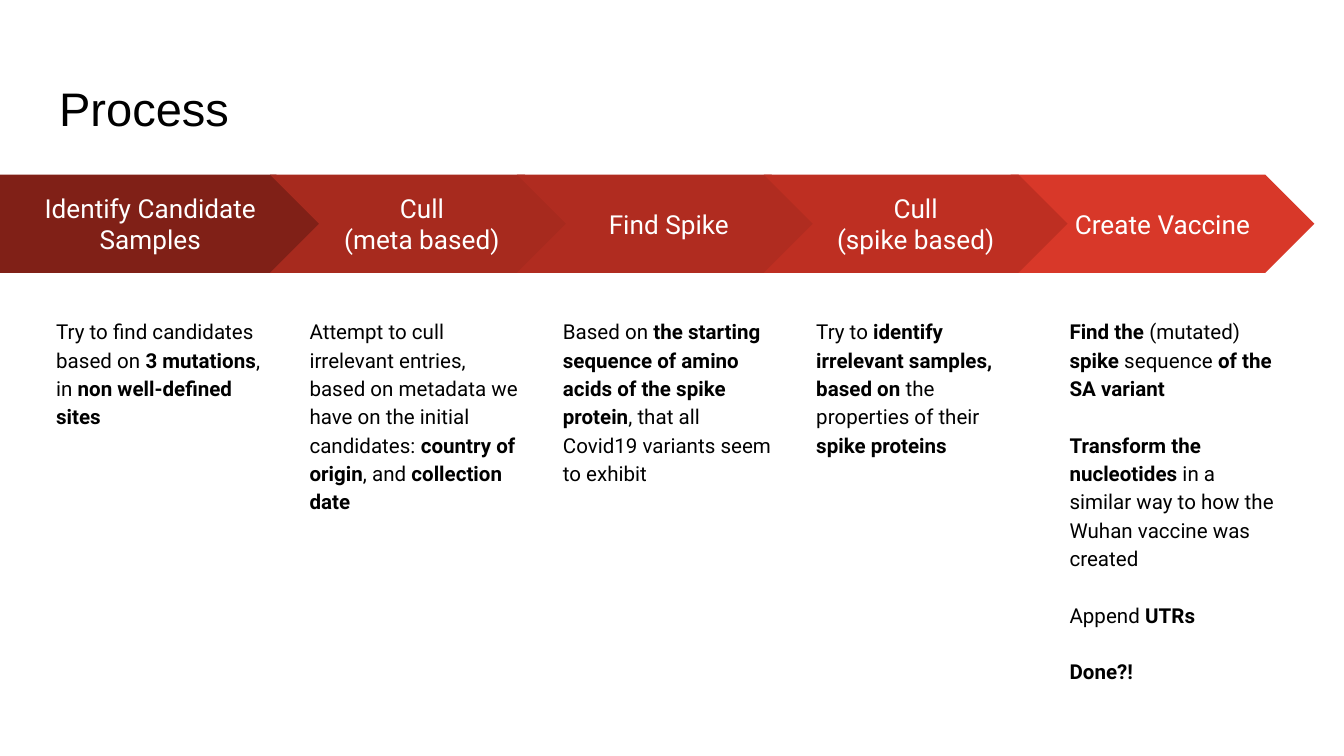
from pptx import Presentation
from pptx.dml.color import RGBColor
from pptx.enum import shapes, text
from pptx.util import Inches, Pt

COLORS = {
    "text": "000000",
    "label": "FFFFFF",
    "identify": "802017",
    "cull_meta": "A72A1E",
    "find": "B02C20",
    "cull_spike": "BE2F22",
    "create": "D83829",
}

# Column, colour key, arrow label, paragraphs; ** marks the start and end of bold text.
# Listed from back to front: the tip of the second cull lies over the last arrow.
STEPS = [
    (0, "identify", "Identify Candidate Samples",
     ["Try to find candidates based on **3 mutations**, in **non well-defined sites**"]),
    (1, "cull_meta", "Cull\n(meta based)",
     ["Attempt to cull irrelevant entries, based on metadata we have on the initial "
      "candidates: **country of origin**, and **collection date**"]),
    (2, "find", "Find Spike",
     ["Based on **the starting sequence of amino acids of the spike protein**, "
      "that all Covid19 variants seem to exhibit"]),
    (4, "create", "Create Vaccine",
     ["**Find the** (mutated) **spike** sequence **of the SA variant**",
      "**Transform the nucleotides** in a similar way to how the Wuhan vaccine was created",
      "Append **UTRs**",
      "**Done?!**"]),
    (3, "cull_spike", "Cull\n(spike based)",
     ["Try to **identify irrelevant samples, based on** the properties of their "
      "**spike proteins**"]),
]


def rgb(name):
    return RGBColor.from_string(COLORS[name])


def set_font(font, name, size, color):
    font.name = name
    font.size = Pt(size)
    font.color.rgb = rgb(color)


def set_margins(tf):
    tf.word_wrap = True
    tf.margin_left = tf.margin_right = tf.margin_top = tf.margin_bottom = Inches(0.1)


def add_title(s, title, left, top, width, height):
    sp = s.shapes.title
    sp.left, sp.top = Inches(left), Inches(top)
    sp.width, sp.height = Inches(width), Inches(height)
    tf = sp.text_frame
    set_margins(tf)
    tf.vertical_anchor = text.MSO_ANCHOR.TOP
    tf.text = title
    p = tf.paragraphs[0]
    p.alignment = text.PP_ALIGN.LEFT
    set_font(p.runs[0].font, "Arial", 25.2, "text")


def add_arrow(s, kind, color, label, left, top, width, height):
    sp = s.shapes.add_shape(kind, Inches(left), Inches(top), Inches(width), Inches(height))
    sp.shadow.inherit = False
    sp.adjustments[0] = 0.5
    sp.fill.solid()
    sp.fill.fore_color.rgb = rgb(color)
    sp.line.fill.background()
    tf = sp.text_frame
    set_margins(tf)
    tf.vertical_anchor = text.MSO_ANCHOR.MIDDLE
    tf.text = label
    for p in tf.paragraphs:
        p.alignment = text.PP_ALIGN.CENTER
        set_font(p.runs[0].font, "Roboto", 14, "label")


def add_description(s, paragraphs, left, top, width, height):
    tf = s.shapes.add_textbox(
        Inches(left), Inches(top), Inches(width), Inches(height)).text_frame
    set_margins(tf)
    for i, content in enumerate(paragraphs):
        p = tf.add_paragraph() if i else tf.paragraphs[0]
        p.line_spacing = 1.15
        if i:
            p.space_before = Pt(15.2)
        for j, part in enumerate(content.split("**")):
            if part:
                r = p.add_run()
                r.text = part
                set_font(r.font, "Roboto", 11, "text")
                r.font.bold = j % 2 == 1


def add_process(s, left, top, height):
    """Place the arrow band and one description under each arrow."""
    first_width, width, band = 2.42, 2.26, 0.73
    chevron_left, chevron_pitch = 2.01, 5.51 / 3
    text_left, text_top, text_pitch = 0.32, 0.95, 7.54 / 4
    for column, color, label, paragraphs in STEPS:
        if column == 0:
            add_arrow(s, shapes.MSO_SHAPE.PENTAGON, color, label,
                      left, top, first_width, band)
        else:
            add_arrow(s, shapes.MSO_SHAPE.CHEVRON, color, label,
                      left + chevron_left + (column - 1) * chevron_pitch, top, width, band)
        add_description(s, paragraphs, left + text_left + column * text_pitch,
                        top + text_top, 1.77, height - text_top)


def main():
    prs = Presentation()
    prs.slide_width = Inches(10)
    prs.slide_height = prs.slide_width * 9 // 16
    s = prs.slides.add_slide(prs.slide_layouts[5])
    add_title(s, "Process", 0.34, 0.49, 9.32, 0.63)
    add_process(s, 0, 1.3, 3.52)
    prs.save("out.pptx")


if __name__ == "__main__":
    main()
